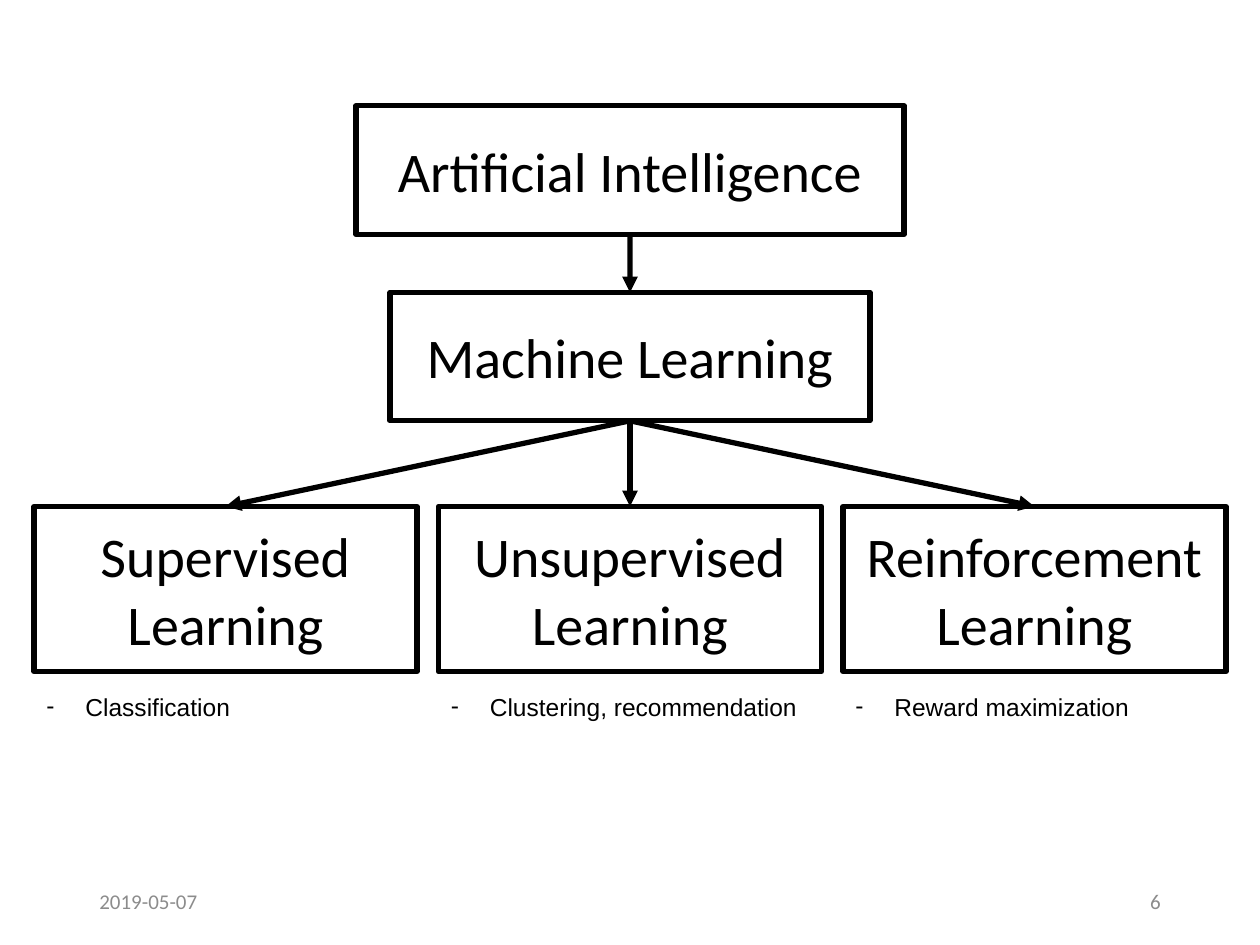
from dataclasses import dataclass

from lxml.etree import SubElement
from pptx import Presentation
from pptx.dml.color import RGBColor
from pptx.enum.shapes import MSO_CONNECTOR, MSO_SHAPE
from pptx.enum.text import MSO_ANCHOR, MSO_AUTO_SIZE, PP_ALIGN
from pptx.oxml.ns import qn
from pptx.util import Inches, Pt


@dataclass(frozen=True)
class Theme:
    ink: RGBColor = RGBColor(0x00, 0x00, 0x00)
    paper: RGBColor = RGBColor(0xFF, 0xFF, 0xFF)
    muted: RGBColor = RGBColor(0x8C, 0x8C, 0x8C)
    box_font: str = "Calibri"
    note_font: str = "Arial"
    box_size: Pt = Pt(32)
    note_size: Pt = Pt(14)
    footer_size: Pt = Pt(12)
    line: Pt = Pt(3)


theme = Theme()


def style(p, font, size, color, align=PP_ALIGN.LEFT):
    p.alignment = align
    for r in p.runs:
        r.font.name, r.font.size = font, size
        r.font.color.rgb = color


prs = Presentation()
prs.slide_width, prs.slide_height = Inches(10), Inches(7.5)
s = prs.slides.add_slide(prs.slide_layouts[6])

# Footer: date and slide number
for text, left, align in [("2019-05-07", 0.69, PP_ALIGN.LEFT),
                          ("6", 7.06, PP_ALIGN.RIGHT)]:
    tf = s.shapes.add_textbox(Inches(left), Inches(6.95),
                              Inches(2.25), Inches(0.4)).text_frame
    tf.word_wrap = True
    tf.vertical_anchor = MSO_ANCHOR.MIDDLE
    tf.text = text
    style(tf.paragraphs[0], theme.box_font, theme.footer_size,
          theme.muted, align)

# Boxes, each placed by its centre: text, centre, top, width, height
center, column_step, column_width = 5, 3.21, 3.04
columns = [center + i * column_step for i in (-1, 0, 1)]
boxes = [
    ("Artificial Intelligence", center, 0.84, 4.35, 1.02),
    ("Machine Learning", center, 2.32, 3.81, 1.02),
    ("Supervised\nLearning", columns[0], 4.02, column_width, 1.31),
    ("Unsupervised Learning", columns[1], 4.02, column_width, 1.31),
    ("Reinforcement\nLearning", columns[2], 4.02, column_width, 1.31),
]
nodes = []
for text, x, top, width, height in boxes:
    sp = s.shapes.add_shape(MSO_SHAPE.RECTANGLE, Inches(x - width / 2),
                            Inches(top), Inches(width), Inches(height))
    sp.shadow.inherit = False
    sp.fill.solid()
    sp.fill.fore_color.rgb = theme.paper
    sp.line.color.rgb = theme.ink
    sp.line.width = theme.line
    tf = sp.text_frame
    tf.word_wrap = True
    tf.vertical_anchor = MSO_ANCHOR.MIDDLE
    tf.text = text
    for p in tf.paragraphs:
        style(p, theme.box_font, theme.box_size, theme.ink, PP_ALIGN.CENTER)
    nodes.append(sp)

# Arrows from the bottom of a parent to the top of each child
ai, ml, *kinds = nodes
for parent, child in [(ai, ml)] + [(ml, kind) for kind in kinds]:
    arrow = s.shapes.add_connector(MSO_CONNECTOR.STRAIGHT, 0, 0, 0, 0)
    arrow.begin_connect(parent, 2)
    arrow.end_connect(child, 0)
    arrow.line.color.rgb = theme.ink
    arrow.line.width = theme.line
    SubElement(arrow.line._get_or_add_ln(), qn("a:tailEnd"), type="triangle")
    SubElement(arrow._element.spPr, qn("a:effectLst"))

# Dashed notes under the three kinds of learning
notes = ["Classification", "Clustering, recommendation", "Reward maximization"]
for text, x in zip(notes, columns):
    tf = s.shapes.add_textbox(Inches(x - column_width / 2), Inches(5.44),
                              Inches(column_width), Inches(0.34)).text_frame
    tf.word_wrap = True
    tf.auto_size = MSO_AUTO_SIZE.SHAPE_TO_FIT_TEXT
    tf.text = text
    p = tf.paragraphs[0]
    pPr = p._p.get_or_add_pPr()
    pPr.set("marL", str(Inches(0.31)))
    pPr.set("indent", str(-Inches(0.31)))
    SubElement(pPr, qn("a:buFont"), typeface=theme.note_font)
    SubElement(pPr, qn("a:buChar"), char="-")
    style(p, theme.note_font, theme.note_size, theme.ink)

prs.save("out.pptx")
